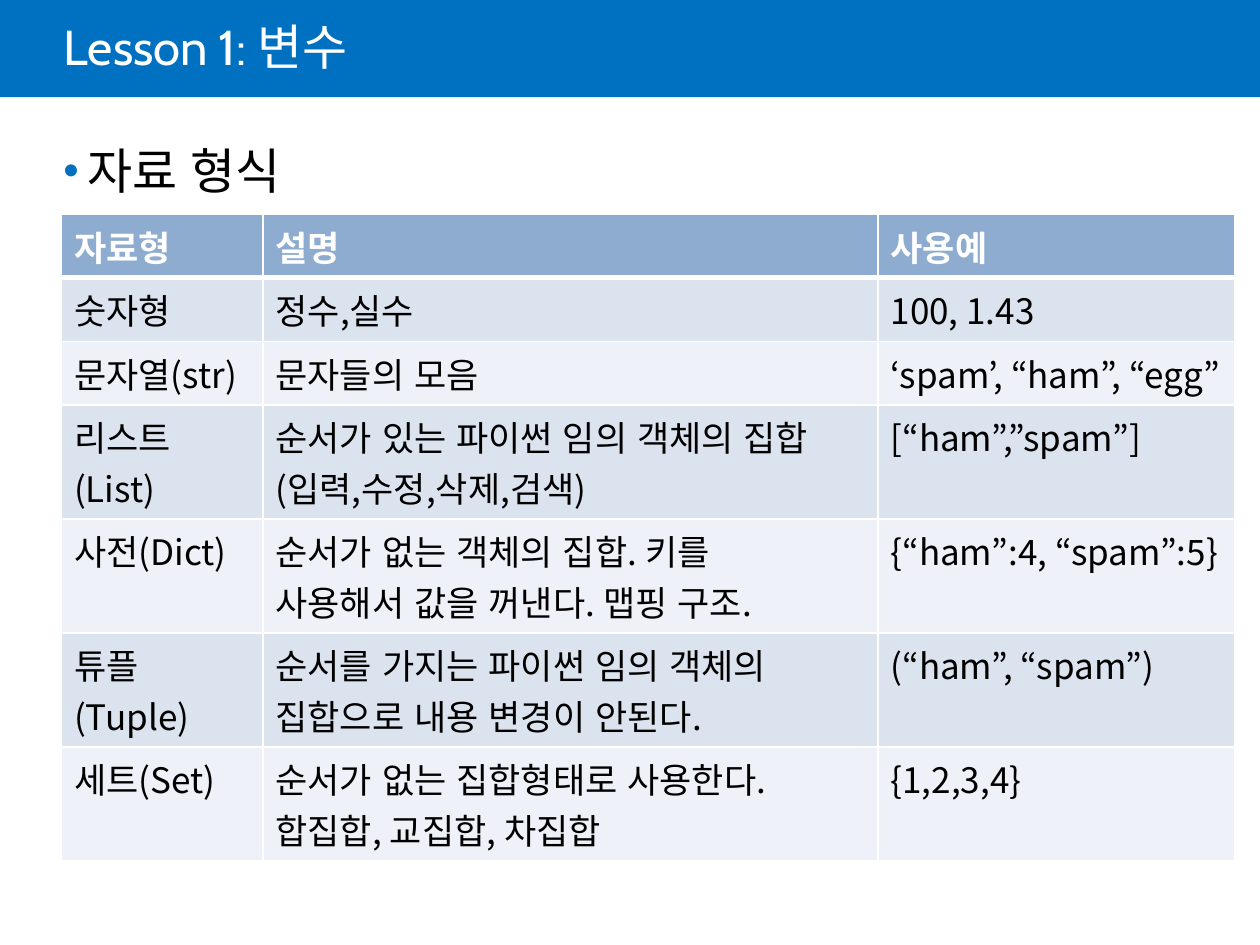
from pptx import Presentation
from pptx.dml.color import RGBColor as Rgb
from pptx.enum.lang import MSO_LANGUAGE_ID as Language
from pptx.enum.shapes import MSO_SHAPE as Shape
from pptx.enum.text import MSO_ANCHOR as Anchor
from pptx.oxml.ns import qn
from pptx.util import Cm, Pt
from lxml.etree import SubElement

COLORS = {
    "brand": "0070C0",
    "white": "FFFFFF",
    "black": "000000",
    "header": "8DACD0",
    "odd": "DBE3EE",
    "even": "EEF1F7",
}
LATIN, KOREAN = "Cabin", "Noto Sans CJK KR"

COLUMN_WIDTHS = (4.06, 12.4, 7.19)
RIGHT_MARGINS = (0.25, 0.64, 0.25)
ROW_HEIGHTS = (1.28,) * 3 + (2.3,) * 4  # one-line rows, then two-line rows
DATA_TYPES = [
    ("자료형", "설명", "사용예"),
    ("숫자형", "정수,실수", "100, 1.43"),
    ("문자열(str)", "문자들의 모음", "‘spam’, “ham”, “egg”"),
    ("리스트(List)", "순서가 있는 파이썬 임의 객체의 집합(입력,수정,삭제,검색)",
     "[“ham”,”spam”]"),
    ("사전(Dict)", "순서가 없는 객체의 집합. 키를 사용해서 값을 꺼낸다. 맵핑 구조.",
     "{“ham”:4, “spam”:5}"),
    ("튜플(Tuple)", "순서를 가지는 파이썬 임의 객체의 집합으로 내용 변경이 안된다.",
     "(“ham”, “spam”)"),
    ("세트(Set)", "순서가 없는 집합형태로 사용한다. 합집합, 교집합, 차집합",
     "{1,2,3,4}"),
]


def color(name):
    return Rgb.from_string(COLORS[name])


def add_run(paragraph, text, size, color_name, font=KOREAN, bold=False):
    run = paragraph.add_run()
    run.text = text
    run.font.size = Pt(size)
    run.font.bold = bold
    run.font.name = font
    run.font.language_id = Language.KOREAN
    run.font.color.rgb = color(color_name)
    SubElement(run.font._element, qn("a:ea"), typeface=KOREAN)


def add_banner(slide, width):
    banner = slide.shapes.add_shape(Shape.RECTANGLE, 0, 0, width, Cm(1.96))
    banner.shadow.inherit = False
    banner.fill.solid()
    banner.fill.fore_color.rgb = color("brand")
    banner.line.fill.background()


def add_text_frame(slide, left, top, width, height, insets):
    """Add a wrapping text box; insets run left, top, right, bottom in cm."""
    box = slide.shapes.add_textbox(Cm(left), Cm(top), Cm(width), Cm(height))
    frame = box.text_frame
    frame.word_wrap = True
    (frame.margin_left, frame.margin_top,
     frame.margin_right, frame.margin_bottom) = map(Cm, insets)
    return frame


def add_title(slide, text):
    frame = add_text_frame(slide, 1.29, 0, 21.59, 2.04, (0, 0.13, 0.25, 0.13))
    frame.vertical_anchor = Anchor.MIDDLE
    paragraph = frame.paragraphs[0]
    paragraph.line_spacing = 0.85
    add_run(paragraph, text, 28, "white", LATIN)


def add_bullet(slide, text):
    frame = add_text_frame(slide, 1.28, 2.84, 22.56, 14.3, (0, 0, 0, 0))
    paragraph = frame.paragraphs[0]
    paragraph.space_before = Pt(6)
    properties = paragraph._p.get_or_add_pPr()
    properties.set("marL", str(Cm(0.48)))
    properties.set("indent", str(-Cm(0.48)))
    bullet_color = SubElement(properties, qn("a:buClr"))
    SubElement(bullet_color, qn("a:srgbClr"), val=COLORS["brand"])
    SubElement(properties, qn("a:buSzPct"), val="90000")
    SubElement(properties, qn("a:buFont"), typeface="Arial")
    SubElement(properties, qn("a:buChar"), char="•")
    add_run(paragraph, text, 28, "black")


def set_borders(cell, top, bottom):
    """Draw white borders; the side ones are 1 pt wide."""
    properties = cell._tc.get_or_add_tcPr()
    for side, points in (("L", 1), ("R", 1), ("T", top), ("B", bottom)):
        line = SubElement(properties, qn(f"a:ln{side}"), w=str(Pt(points)))
        fill = SubElement(line, qn("a:solidFill"))
        SubElement(fill, qn("a:srgbClr"), val=COLORS["white"])


def fill_cell(cell, text, row):
    header = row == 0
    set_borders(cell, top=3 if row == 1 else 1, bottom=3 if header else 1)
    cell.fill.solid()
    band = "header" if header else ("even", "odd")[row % 2]
    cell.fill.fore_color.rgb = color(band)
    add_run(cell.text_frame.paragraphs[0], text, 20,
            "white" if header else "black", bold=header)


def add_type_table(slide):
    table = slide.shapes.add_table(
        len(DATA_TYPES), len(COLUMN_WIDTHS), Cm(1.24), Cm(4.32),
        Cm(sum(COLUMN_WIDTHS)), Cm(sum(ROW_HEIGHTS))).table
    for column, width in zip(table.columns, COLUMN_WIDTHS):
        column.width = Cm(width)
    for row, texts in enumerate(DATA_TYPES):
        table.rows[row].height = Cm(ROW_HEIGHTS[row])
        for column, text in enumerate(texts):
            cell = table.cell(row, column)
            fill_cell(cell, text, row)
            cell.margin_right = Cm(RIGHT_MARGINS[column])


def main():
    deck = Presentation()
    deck.slide_width, deck.slide_height = Cm(25.4), Cm(19.05)
    slide = deck.slides.add_slide(deck.slide_layouts[6])
    add_banner(slide, deck.slide_width)
    add_title(slide, "Lesson 1: 변수")
    add_bullet(slide, "자료 형식")
    add_type_table(slide)
    deck.save("out.pptx")


if __name__ == "__main__":
    main()
